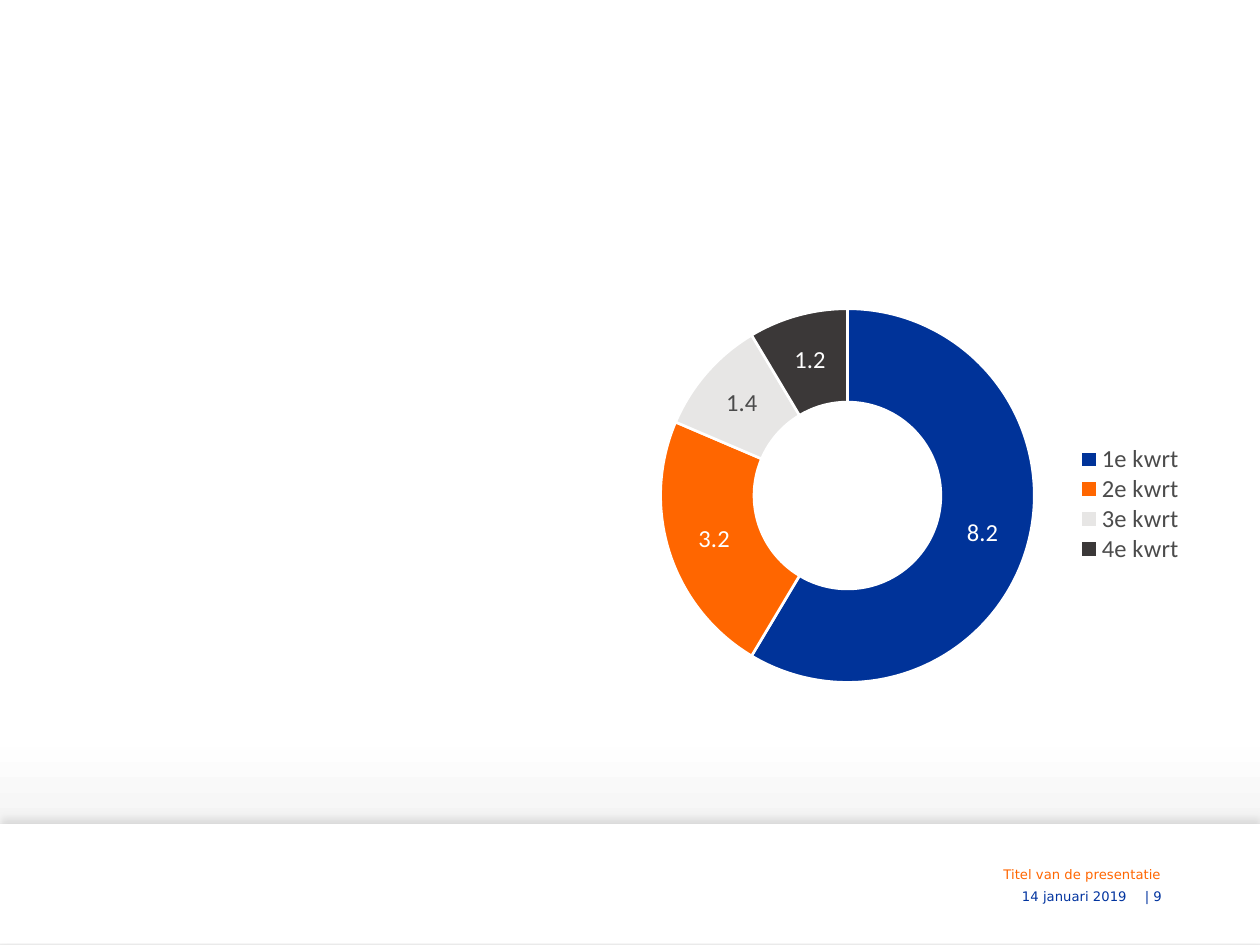
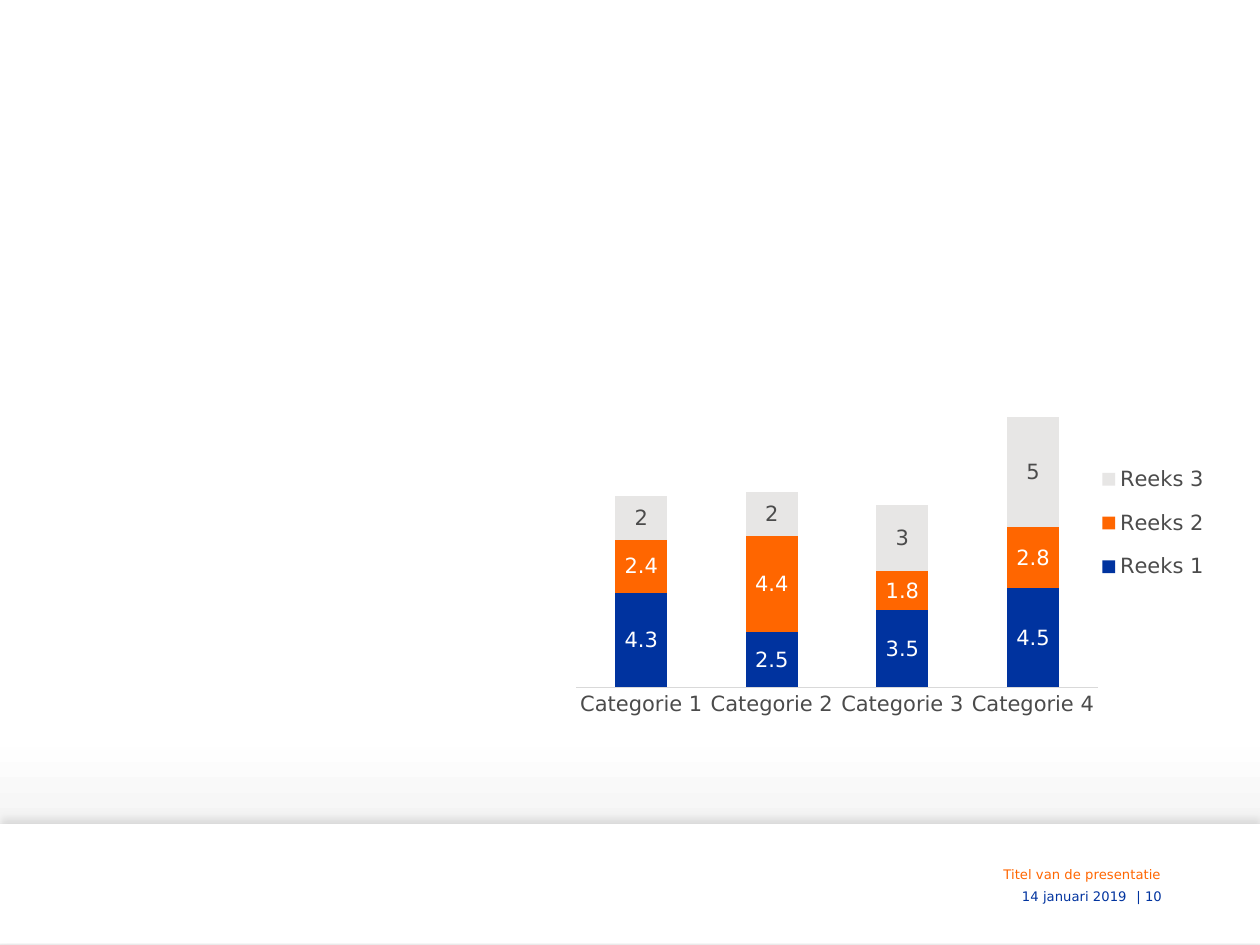
from dataclasses import dataclass
from typing import NamedTuple

from lxml.etree import SubElement
from pptx import Presentation
from pptx.chart.chart import Chart
from pptx.chart.data import CategoryChartData
from pptx.dml.color import RGBColor
from pptx.enum.chart import XL_CHART_TYPE, XL_LABEL_POSITION, XL_LEGEND_POSITION, XL_TICK_MARK
from pptx.enum.shapes import MSO_SHAPE
from pptx.enum.text import MSO_ANCHOR, PP_ALIGN
from pptx.oxml.ns import qn
from pptx.slide import Slide
from pptx.util import Pt

COLOURS = {
    "blue": "00339F",
    "ring_blue": "003399",
    "orange": "FF6600",
    "light": "E7E6E5",
    "dark": "3B3838",
    "text": "4B4B4B",
    "axis": "D9D9D9",
    "white": "FFFFFF",
    "near_white": "FEFEFE",
    "grey": "EDEDED",
    "black": "000000",
}
BACKGROUND_STOPS = ((0, "white"), (79, "near_white"), (92, "grey"))
BODY_FONT = "DejaVu Sans"
RING_FONT = "Calibri"


class Box(NamedTuple):
    x: float
    y: float
    w: float
    h: float


@dataclass
class FooterText:
    text: str
    box: Box
    colour: str


@dataclass
class Series:
    name: str
    values: tuple
    colour: str
    label_colour: str


@dataclass
class ChartLayout:
    box: Box
    plot: Box
    legend: Box
    font: str
    size: float


RING_LAYOUT = ChartLayout(
    Box(342, 167.04, 351.36, 234.72),
    Box(0.1, 0.04, 0.61, 0.91),
    Box(0.78, 0.37, 0.17, 0.29),
    RING_FONT, 14,
)
STACK_LAYOUT = ChartLayout(
    Box(313.92, 182.16, 423.36, 238.32),
    Box(0.036, 0.147, 0.705, 0.737),
    Box(0.74, 0.31, 0.15, 0.36),
    BODY_FONT, 12,
)
QUARTERS = {
    "1e kwrt": (8.2, "ring_blue"),
    "2e kwrt": (3.2, "orange"),
    "3e kwrt": (1.4, "light"),
    "4e kwrt": (1.2, "dark"),
}
CATEGORIES = [f"Categorie {number}" for number in range(1, 5)]
STACK = (
    Series("Reeks 1", (4.3, 2.5, 3.5, 4.5), "blue", "white"),
    Series("Reeks 2", (2.4, 4.4, 1.8, 2.8), "orange", "white"),
    Series("Reeks 3", (2, 2, 3, 5), "light", "text"),
)


def rgb(name: str) -> RGBColor:
    return RGBColor.from_string(COLOURS[name])


def style_font(font, face: str, size: float, colour: str) -> None:
    font.name = face
    font.size = Pt(size)
    font.color.rgb = rgb(colour)


def paint_background(slide: Slide) -> None:
    fill = slide.background.fill
    fill.gradient()
    fill.gradient_angle = 270
    stops = next(slide.element.iter(qn("a:gsLst")))
    for stop in list(stops):
        stops.remove(stop)
    for percent, colour in BACKGROUND_STOPS:
        stop = SubElement(stops, qn("a:gs"), pos=str(percent * 1000))
        SubElement(stop, qn("a:srgbClr"), val=COLOURS[colour])


def add_band(slide: Slide) -> None:
    band = slide.shapes.add_shape(MSO_SHAPE.RECTANGLE, 0, Pt(470.88), Pt(720), Pt(68.4))
    band.fill.solid()
    band.fill.fore_color.rgb = rgb("white")
    band.line.fill.background()
    band.shadow.inherit = False
    effects = next(band.element.iter(qn("a:effectLst")))
    shadow = SubElement(
        effects, qn("a:outerShdw"), blurRad=str(Pt(4)), dist=str(Pt(3)),
        dir="16200000", algn="b", rotWithShape="0",
    )
    colour = SubElement(shadow, qn("a:srgbClr"), val=COLOURS["black"])
    SubElement(colour, qn("a:alpha"), val="10000")


def add_footer_text(slide: Slide, footer: FooterText) -> None:
    frame = slide.shapes.add_textbox(*map(Pt, footer.box)).text_frame
    frame.word_wrap = True
    frame.vertical_anchor = MSO_ANCHOR.MIDDLE
    frame.margin_top = frame.margin_bottom = 0
    paragraph = frame.paragraphs[0]
    paragraph.alignment = PP_ALIGN.RIGHT
    run = paragraph.add_run()
    run.text = footer.text
    style_font(run.font, BODY_FONT, 7.5, footer.colour)


def add_footer(slide: Slide, number: int) -> None:
    for footer in (
        FooterText("14 januari 2019", Box(508.32, 505.44, 142.56, 13.68), "blue"),
        FooterText("Titel van de presentatie", Box(508.32, 493.2, 162, 12.24), "orange"),
        FooterText(f"| {number}", Box(630.72, 505.44, 40.32, 13.68), "blue"),
    ):
        add_footer_text(slide, footer)


def set_layout(chart: Chart, tag: str, index: int, box: Box, inner: bool = False) -> None:
    parent = next(chart.element.iter(qn(tag)))
    for previous in parent.findall(qn("c:layout")):
        parent.remove(previous)
    layout = SubElement(parent, qn("c:layout"))
    parent.insert(index, layout)
    manual = SubElement(layout, qn("c:manualLayout"))
    if inner:
        SubElement(manual, qn("c:layoutTarget"), val="inner")
    for mode in ("xMode", "yMode"):
        SubElement(manual, qn(f"c:{mode}"), val="edge")
    for side, fraction in box._asdict().items():
        SubElement(manual, qn(f"c:{side}"), val=str(fraction))


def add_chart(slide: Slide, kind: XL_CHART_TYPE, data: CategoryChartData,
              layout: ChartLayout) -> Chart:
    chart = slide.shapes.add_chart(kind, *map(Pt, layout.box), data).chart
    chart.has_title = False
    style_font(chart.font, layout.font, layout.size, "text")
    chart.has_legend = True
    chart.legend.position = XL_LEGEND_POSITION.RIGHT
    chart.legend.include_in_layout = False
    style_font(chart.legend.font, layout.font, layout.size, "text")
    set_layout(chart, "c:plotArea", 0, layout.plot, inner=True)
    set_layout(chart, "c:legend", 1, layout.legend)
    return chart


def show_values(series, layout: ChartLayout, colour: str):
    labels = series.data_labels
    labels.show_value = True
    labels.show_percentage = False
    style_font(labels.font, layout.font, layout.size, colour)
    return labels


def add_quarter_ring(slide: Slide) -> None:
    data = CategoryChartData()
    data.categories = list(QUARTERS)
    data.add_series("Series 1", [value for value, _ in QUARTERS.values()])
    chart = add_chart(slide, XL_CHART_TYPE.DOUGHNUT, data, RING_LAYOUT)
    plot = chart.plots[0]
    plot.vary_by_categories = True
    next(chart.element.iter(qn("c:holeSize"))).set("val", "63")
    ring = plot.series[0]
    show_values(ring, RING_LAYOUT, "white")
    for index, (_, colour) in enumerate(QUARTERS.values()):
        quarter = ring.points[index]
        quarter.format.fill.solid()
        quarter.format.fill.fore_color.rgb = rgb(colour)
        quarter.format.line.color.rgb = rgb("white")
        quarter.format.line.width = Pt(1.5)
        if colour == "light":
            style_font(quarter.data_label.font, RING_FONT, RING_LAYOUT.size, "text")


def add_category_stack(slide: Slide) -> None:
    data = CategoryChartData()
    data.categories = CATEGORIES
    for series in STACK:
        data.add_series(series.name, series.values)
    chart = add_chart(slide, XL_CHART_TYPE.COLUMN_STACKED, data, STACK_LAYOUT)
    plot = chart.plots[0]
    plot.vary_by_categories = False
    plot.gap_width = 150
    plot.overlap = 100
    for drawn, series in zip(plot.series, STACK):
        drawn.format.fill.solid()
        drawn.format.fill.fore_color.rgb = rgb(series.colour)
        labels = show_values(drawn, STACK_LAYOUT, series.label_colour)
        labels.position = XL_LABEL_POSITION.CENTER
    categories = chart.category_axis
    categories.major_tick_mark = XL_TICK_MARK.NONE
    categories.format.line.color.rgb = rgb("axis")
    categories.format.line.width = Pt(0.75)
    style_font(categories.tick_labels.font, BODY_FONT, STACK_LAYOUT.size, "text")
    values = chart.value_axis
    values.minimum_scale = 0
    values.maximum_scale = 14
    values.has_major_gridlines = False
    values.visible = False


def main() -> None:
    presentation = Presentation()
    presentation.slide_width = Pt(720)
    presentation.slide_height = Pt(540)
    for number, draw_content in enumerate((add_quarter_ring, add_category_stack), start=9):
        slide = presentation.slides.add_slide(presentation.slide_layouts[6])
        paint_background(slide)
        add_band(slide)
        draw_content(slide)
        add_footer(slide, number)
    presentation.save("out.pptx")


if __name__ == "__main__":
    main()
